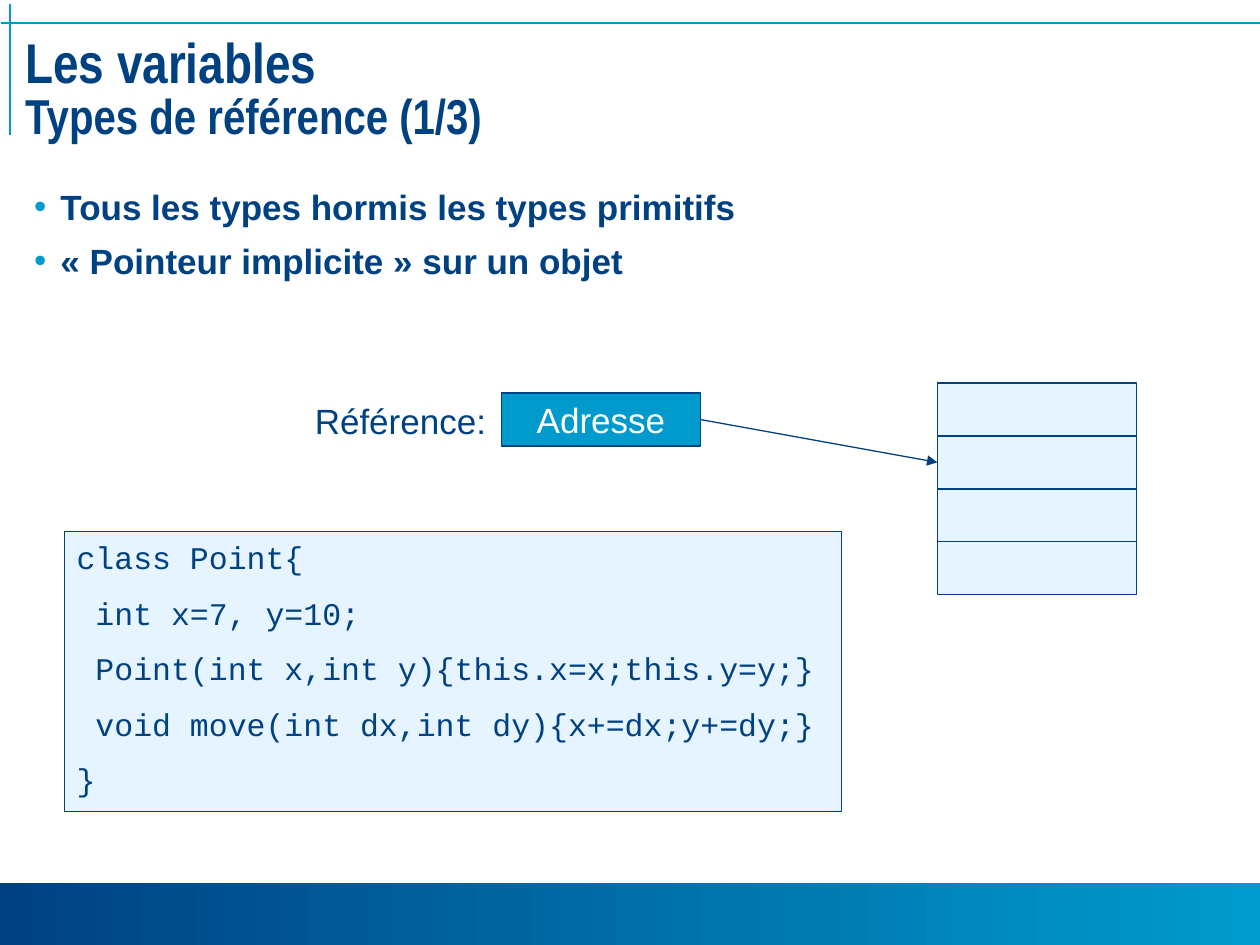
from lxml.etree import SubElement
from pptx import Presentation
from pptx.dml.color import RGBColor
from pptx.enum.shapes import MSO_CONNECTOR, MSO_SHAPE
from pptx.enum.text import MSO_ANCHOR, MSO_AUTO_SIZE, PP_ALIGN
from pptx.oxml.ns import qn
from pptx.util import Inches, Pt

NAVY = RGBColor(0x00, 0x41, 0x82)
CYAN = RGBColor(0x00, 0x9B, 0xCC)
PALE = RGBColor(0xE6, 0xF4, 0xFF)
WHITE = RGBColor(0xFF, 0xFF, 0xFF)

POINTS = ["Tous les types hormis les types primitifs",
          "« Pointeur implicite » sur un objet"]
CODE = ["class Point{",
        " int x=7, y=10;",
        " Point(int x,int y){this.x=x;this.y=y;}",
        " void move(int dx,int dy){x+=dx;y+=dy;}",
        "}"]


def place(shape, left, top, width, height):
    """Move and size a shape, in inches."""
    shape.left, shape.top = Inches(left), Inches(top)
    shape.width, shape.height = Inches(width), Inches(height)


def add_run(paragraph, text, size, color=NAVY, font="Arial", bold=False):
    """Append one formatted run to a paragraph."""
    run = paragraph.add_run()
    run.text = text
    run.font.size, run.font.name, run.font.bold = Pt(size), font, bold
    run.font.color.rgb = color


def add_paragraphs(frame, lines, space_before, **style):
    """Write each line as a left-aligned paragraph and return them all."""
    for index, line in enumerate(lines):
        paragraph = frame.add_paragraph() if index else frame.paragraphs[0]
        paragraph.alignment = PP_ALIGN.LEFT
        paragraph.space_before = Pt(space_before)
        add_run(paragraph, line, **style)
    return frame.paragraphs


def add_box(slide, left, top, width, height, fill=PALE):
    """Add a thinly outlined rectangle."""
    box = slide.shapes.add_shape(MSO_SHAPE.RECTANGLE, Inches(left), Inches(top),
                                 Inches(width), Inches(height))
    box.shadow.inherit = False
    box.fill.solid()
    box.fill.fore_color.rgb = fill
    box.line.color.rgb = NAVY
    box.line.width = Pt(0.75)
    return box


def add_line(slide, x1, y1, x2, y2, color, weight):
    """Add a straight line without shadow."""
    line = slide.shapes.add_connector(MSO_CONNECTOR.STRAIGHT, Inches(x1), Inches(y1),
                                      Inches(x2), Inches(y2))
    line.line.color.rgb = color
    line.line.width = Pt(weight)
    SubElement(line._element.spPr, qn("a:effectLst"))
    return line


def add_frame(slide):
    """Draw the gradient footer band and the crossed rules at the top."""
    band = add_box(slide, 0, 7.01, 10, 0.52)
    band.line.fill.background()
    band.fill.gradient()
    band.fill.gradient_angle = 0
    for stop, color, position in zip(band.fill.gradient_stops, (NAVY, CYAN), (0, 1)):
        stop.color.rgb = color
        stop.position = position
    add_line(slide, 0.01, 0.18, 10, 0.18, CYAN, 1)
    add_line(slide, 0.08, 0.03, 0.08, 1.07, CYAN, 1)


def add_title(slide, left, top, width, height):
    """Fill the title placeholder with heading and subheading."""
    title = slide.shapes.title
    place(title, left, top, width, height)
    frame = title.text_frame
    frame.auto_size = MSO_AUTO_SIZE.NONE
    frame.vertical_anchor = MSO_ANCHOR.MIDDLE
    frame.margin_top = frame.margin_bottom = Inches(0.04)
    heading = frame.paragraphs[0]
    heading.alignment = PP_ALIGN.LEFT
    heading.line_spacing = 0.85
    add_run(heading, "Les variables", 32, font="Arial Narrow", bold=True)
    heading.add_line_break()
    add_run(heading, "Types de référence (1/3)", 28, font="Arial Narrow", bold=True)


def add_points(slide, left, top, width, height):
    """Fill the body placeholder with the bulleted points."""
    body = slide.placeholders[1]
    place(body, left, top, width, height)
    body.text_frame.auto_size = MSO_AUTO_SIZE.NONE
    for point in add_paragraphs(body.text_frame, POINTS, 7, size=20, bold=True):
        properties = point._p.get_or_add_pPr()
        properties.set("marL", str(Inches(0.21)))
        properties.set("indent", str(-Inches(0.21)))
        bullet_color = SubElement(properties, qn("a:buClr"))
        SubElement(bullet_color, qn("a:srgbClr"), val=str(CYAN))
        SubElement(properties, qn("a:buChar"), char="•")


def add_reference_diagram(slide, left, top):
    """Draw the labelled address cell pointing into a column of memory cells."""
    cell_width, cell_height = 1.58, 0.42
    address = add_box(slide, left + 1.58, top + 0.08, cell_width, cell_height, CYAN)
    address.text_frame.word_wrap = False
    address.text_frame.vertical_anchor = MSO_ANCHOR.MIDDLE
    address_text = address.text_frame.paragraphs[0]
    address_text.alignment = PP_ALIGN.CENTER
    add_run(address_text, "Adresse", 20, WHITE)

    memory = [add_box(slide, left + 5.04, top + row * cell_height, cell_width, cell_height)
              for row in range(4)]

    arrow = add_line(slide, 0, 0, 1, 1, NAVY, 0.75)
    arrow.begin_connect(address, 3)
    arrow.end_connect(memory[1], 1)
    SubElement(arrow.line._get_or_add_ln(), qn("a:tailEnd"), type="triangle")

    label = slide.shapes.add_textbox(Inches(left), Inches(top + 0.08),
                                     Inches(1.56), Inches(0.43))
    label.text_frame.word_wrap = False
    add_run(label.text_frame.paragraphs[0], "Référence:", 20)


def add_code(slide, left, top, width, height):
    """Show the class listing in a pale box."""
    listing = add_box(slide, left, top, width, height)
    listing.text_frame.word_wrap = True
    listing.text_frame.vertical_anchor = MSO_ANCHOR.TOP
    add_paragraphs(listing.text_frame, CODE, 10.2, size=18, font="Courier New")


def main():
    """Build and save the slide."""
    deck = Presentation()
    deck.slide_width, deck.slide_height = Inches(10), Inches(7.5)
    slide = deck.slides.add_slide(deck.slide_layouts[1])
    add_frame(slide)
    add_title(slide, 0.1, 0.22, 9.83, 1.01)
    add_points(slide, 0.17, 1.42, 9.67, 1.07)
    add_reference_diagram(slide, 2.4, 3.04)
    add_code(slide, 0.51, 4.22, 6.17, 2.22)
    deck.save("out.pptx")


if __name__ == "__main__":
    main()
